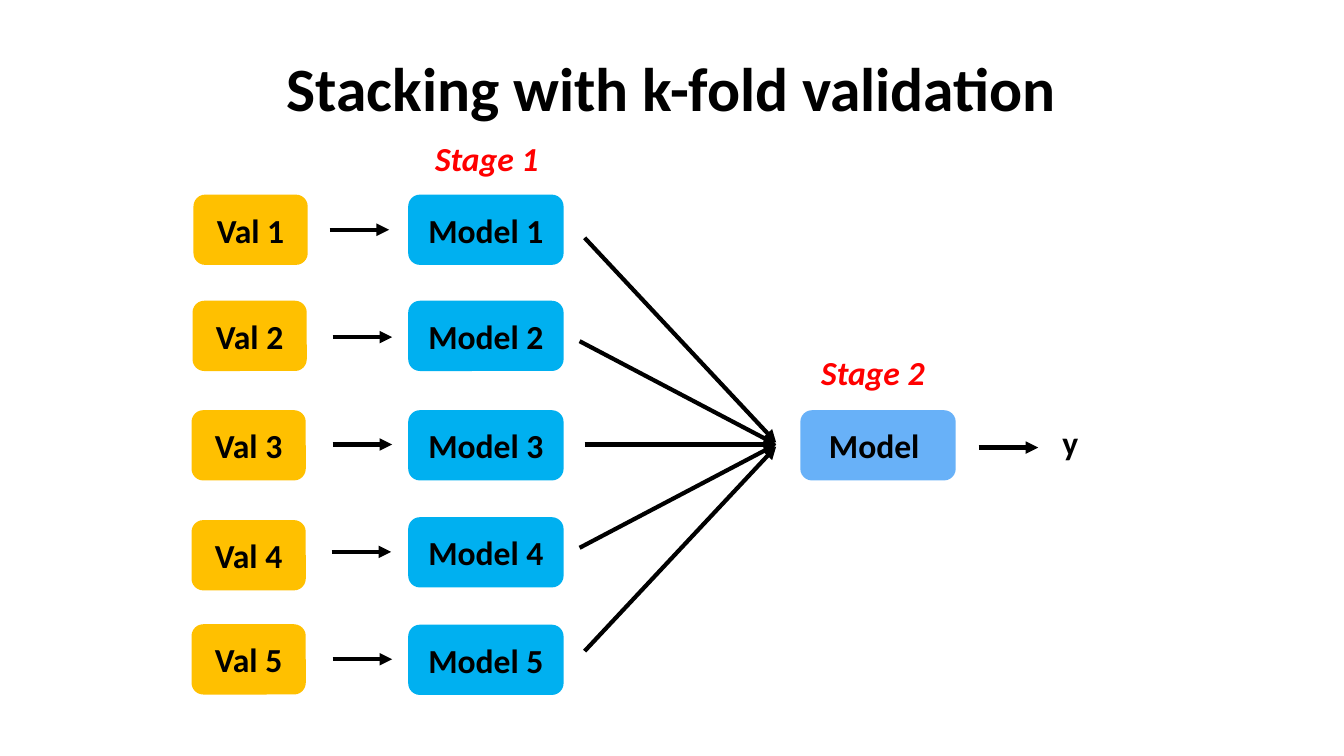
from lxml.etree import SubElement
from pptx import Presentation
from pptx.dml.color import RGBColor
from pptx.enum.shapes import MSO_CONNECTOR, MSO_SHAPE
from pptx.enum.text import MSO_ANCHOR, PP_ALIGN
from pptx.oxml.ns import qn
from pptx.util import Pt

BLACK, RED = "000000", "FF0000"
GOLD, CYAN, BLUE = "FFC000", "00B0F0", "68B1F8"
TITLE = "Stacking with k-fold validation"
ROWS = [
    ("Val 1", 138.2, 139, "Model 1", 139, 235.4),
    ("Val 2", 137.5, 214.8, "Model 2", 214.8, 237.6),
    ("Val 3", 136.8, 293, "Model 3", 293, 237.6),
    ("Val 4", 136.8, 371.5, "Model 4", 369.4, 236.9),
    ("Val 5", 136.8, 445.9, "Model 5", 446.2, 237.6),
]
FAN = [(417.6, 316.1), (414, 317.5), (417.6, 317.5), (414, 317.5), (417.6, 319)]
LABELS = [("Stage 1", 259.2, 87.8, RED), ("Stage 2", 535, 240.5, RED),
          ("y", 676.1, 290.9, BLACK)]
HIGH, VALW, MODW, LABW, ARROW = 50.2, 81.6, 111, 177, 42.5
MID, HUB = 317.5, 554.4


def color(code):
    """Turn a hex string into a colour."""
    return RGBColor.from_string(code)


def write(shape, text, size=24, ink=BLACK, slant=False):
    """Put centred bold text into a shape."""
    frame = shape.text_frame
    frame.word_wrap = True
    frame.vertical_anchor = MSO_ANCHOR.MIDDLE
    para = frame.paragraphs[0]
    para.text = text
    para.alignment = PP_ALIGN.CENTER
    font = para.font
    font.name, font.size, font.bold, font.italic = "Calibri", Pt(size), True, slant
    font.color.rgb = color(ink)
    return para


def box(slide, text, x, y, wide, fill):
    """Draw a filled rounded box."""
    shape = slide.shapes.add_shape(
        MSO_SHAPE.ROUNDED_RECTANGLE, Pt(x), Pt(y), Pt(wide), Pt(HIGH))
    shape.shadow.inherit = False
    shape.fill.solid()
    shape.fill.fore_color.rgb = color(fill)
    shape.line.fill.background()
    write(shape, text)


def label(slide, text, x, y, wide, high, **style):
    """Add a plain text box and return its paragraph."""
    shape = slide.shapes.add_textbox(Pt(x), Pt(y), Pt(wide), Pt(high))
    return write(shape, text, **style)


def arrow(slide, x, y, endx, endy):
    """Draw a straight arrow."""
    line = slide.shapes.add_connector(
        MSO_CONNECTOR.STRAIGHT, Pt(x), Pt(y), Pt(endx), Pt(endy))
    line.line.width = Pt(3)
    line.line.color.rgb = color(BLACK)
    props = line._element.spPr
    SubElement(props.find(qn("a:ln")), qn("a:tailEnd"), type="triangle")
    SubElement(props, qn("a:effectLst"))


def main():
    """Build the slide and save it."""
    deck = Presentation()
    deck.slide_width, deck.slide_height = Pt(960), Pt(540)
    slide = deck.slides.add_slide(deck.slide_layouts[6])

    title = label(slide, TITLE, 66, 13, 828, 104.4, size=44)
    title.line_spacing = 0.9
    for row, (val, valx, valy, model, mody, arrx) in enumerate(ROWS):
        step = row - 2
        box(slide, val, valx, valy, VALW, GOLD)
        box(slide, model, 291.6, mody, MODW, CYAN)
        level = MID + 76.7 * step
        arrow(slide, arrx, level, arrx + ARROW, level)
        fanx, endy = FAN[row]
        arrow(slide, fanx, MID + 73.8 * step, HUB, endy)

    box(slide, "Model ", 571.7, 293, MODW, BLUE)
    arrow(slide, 699.1, 319.7, 699.1 + ARROW, 319.7)
    for text, x, y, ink in LABELS:
        label(slide, text, x, y, LABW, HIGH, ink=ink, slant=ink == RED)
    deck.save("out.pptx")


if __name__ == "__main__":
    main()
